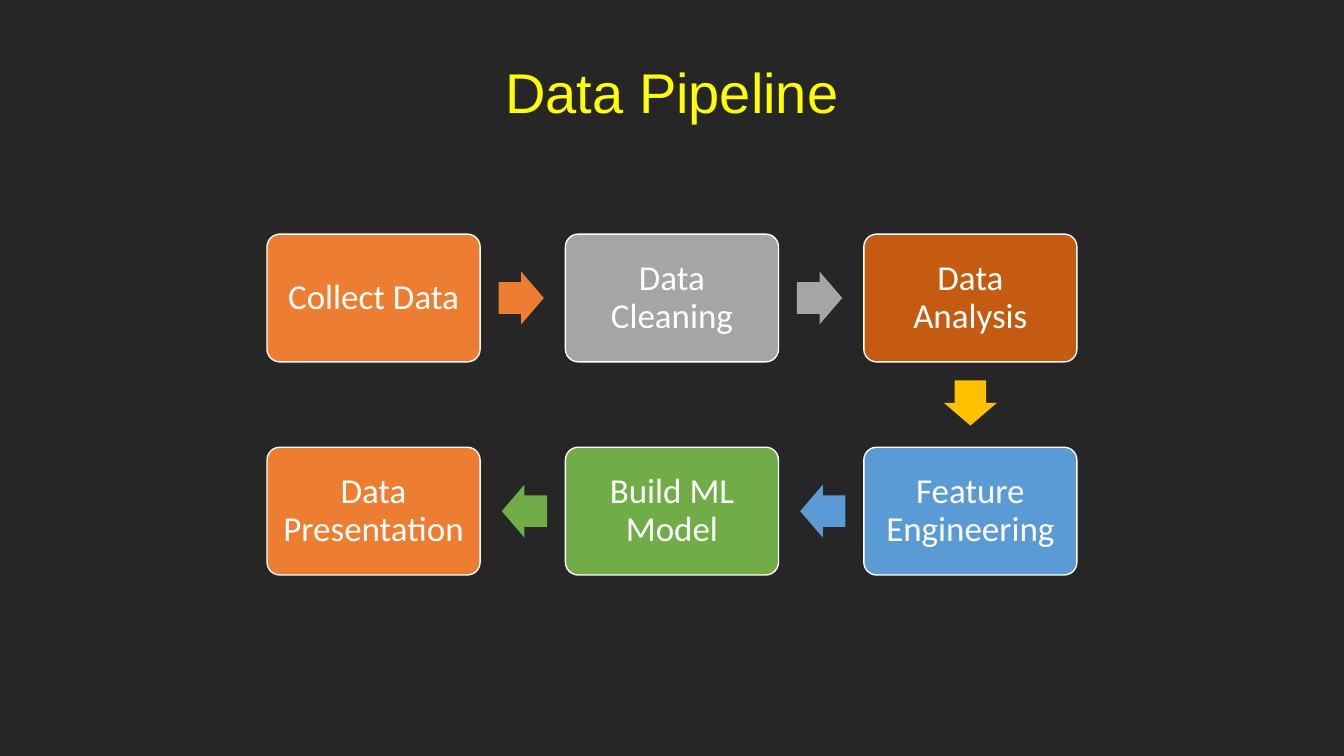
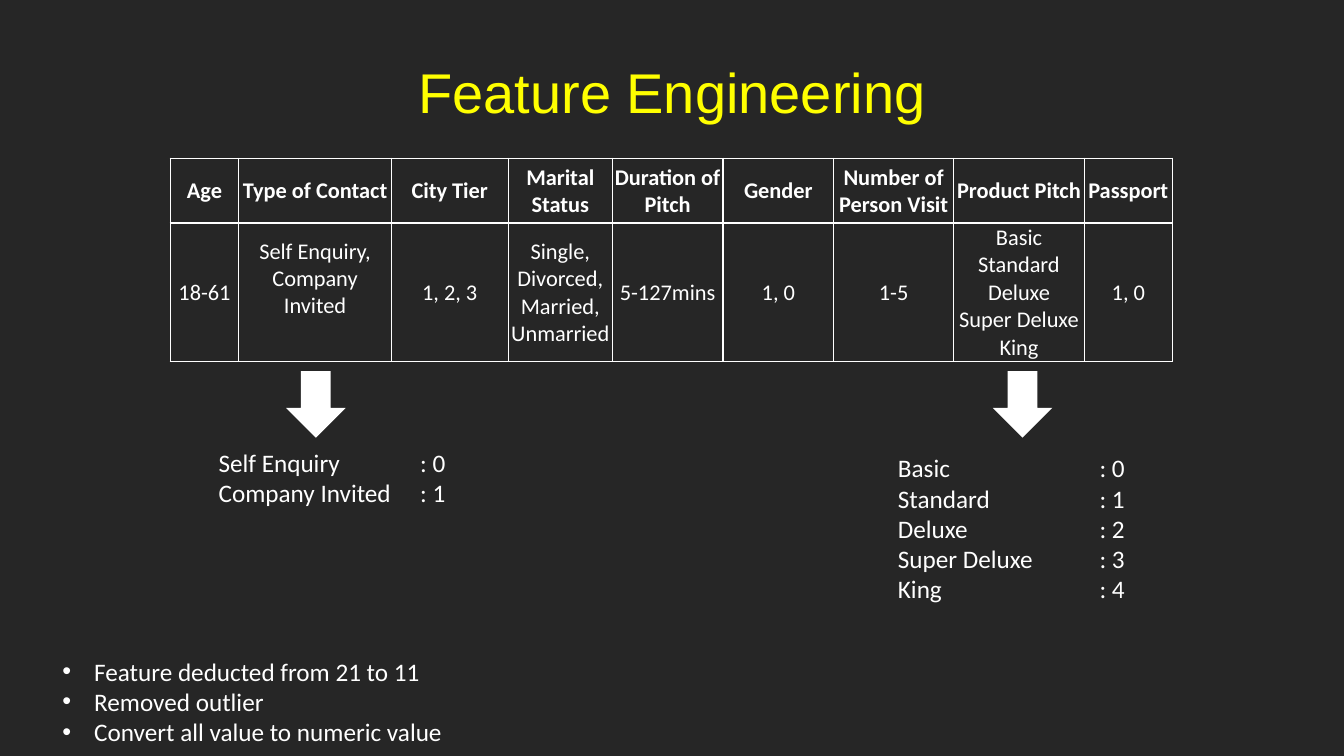
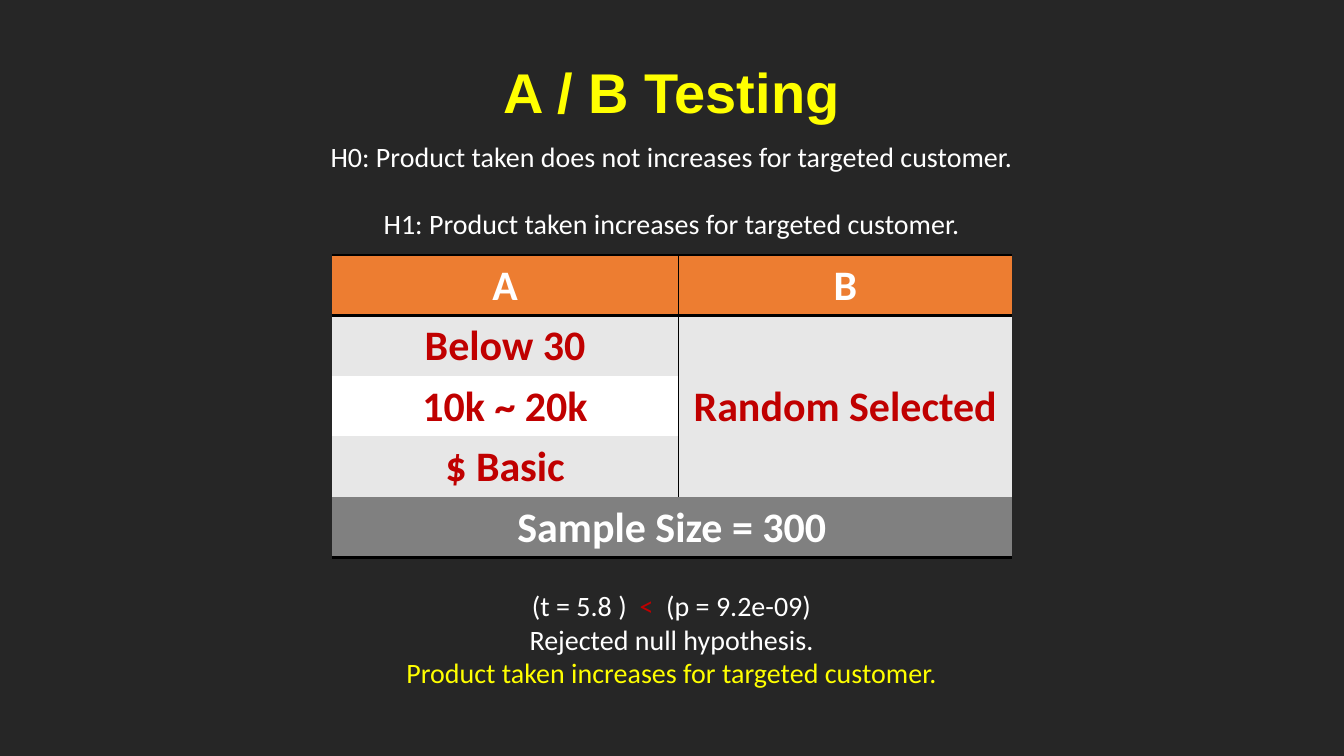
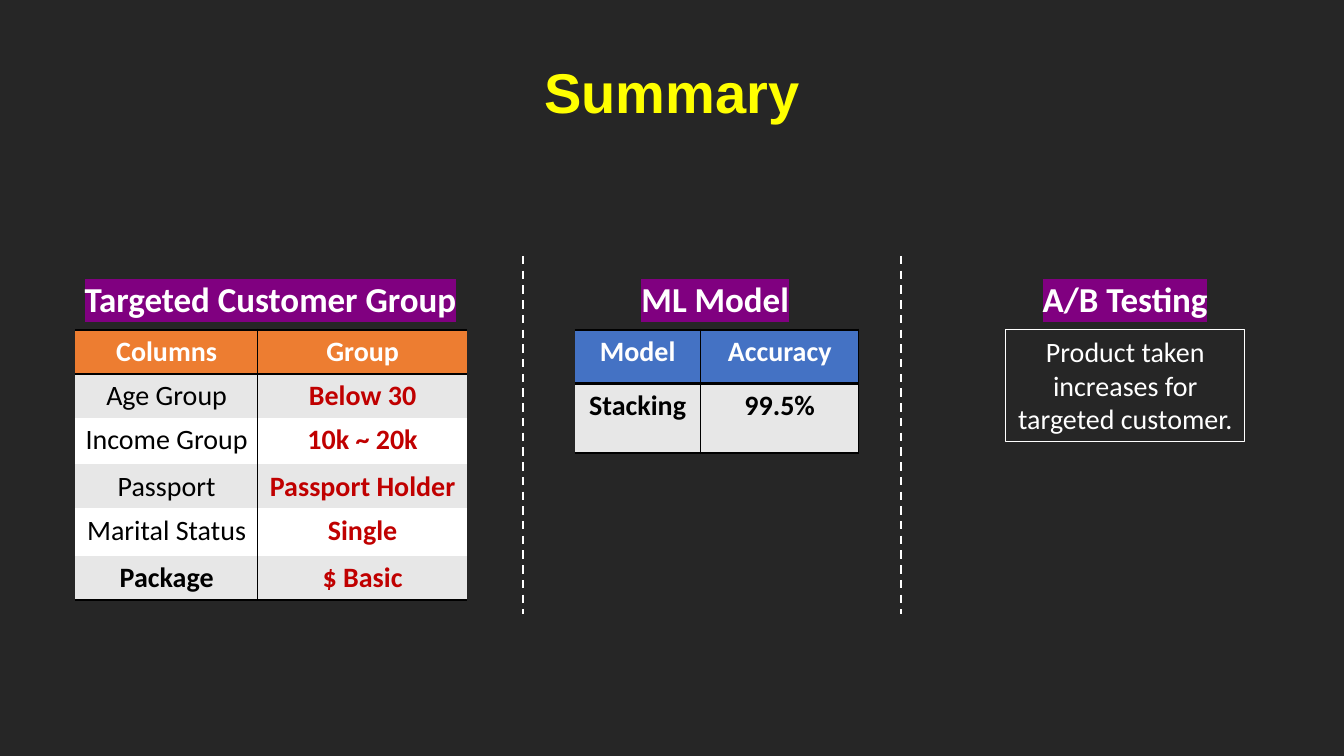
from dataclasses import dataclass
from math import atan2, degrees

from lxml.etree import SubElement
from pptx import Presentation
from pptx.dml.color import RGBColor
from pptx.enum.dml import MSO_LINE
from pptx.enum.shapes import MSO_CONNECTOR, MSO_SHAPE
from pptx.enum.text import MSO_ANCHOR, MSO_AUTO_SIZE, PP_ALIGN
from pptx.oxml.ns import qn
from pptx.util import Cm, Pt

BACKDROP = "262626"
WHITE = "FFFFFF"
BLACK = "000000"
YELLOW = "FFFF00"
RED = "C00000"
ORANGE = "ED7D31"
BLUE = "4472C4"
BAND = "E7E7E7"
GREY = "808080"
PURPLE = "800080"
NO_GRID_STYLE = "{2D5ABB26-0587-4C30-8999-92F81FD0307C}"

TITLE_ONLY, TITLE_AND_BODY = 5, 1
TITLE_FRAME = {"left": Cm(8.08), "top": Cm(1.52), "width": Cm(17.7), "height": Cm(1.85)}
BODY_FRAME = {"left": Cm(1.32), "top": Cm(16.4), "width": Cm(31.22), "height": Cm(2.54)}
FIXED_TOP = {"word_wrap": True, "auto_size": MSO_AUTO_SIZE.NONE, "vertical_anchor": MSO_ANCHOR.TOP}
CENTERED = {"alignment": PP_ALIGN.CENTER, "space_before": Pt(0)}
HEADLINE = CENTERED | {"line_spacing": 0.9}
LEFT = {"alignment": PP_ALIGN.LEFT, "space_before": Pt(0)}


@dataclass
class Span:
    text: str
    color: str = WHITE
    bold: bool = False
    highlight: str = ""


@dataclass
class Entry:
    text: str
    color: str = WHITE
    bold: bool = True
    fill: str = ""
    bottom: float = 0.1


@dataclass
class Grid:
    left: float
    top: float
    widths: list[float]
    heights: list[float]
    entries: list[list[Entry]]
    size: float
    ink: str = BLACK
    thick: float = 2
    edges: str = ""
    inset: float = 0.25
    anchor: MSO_ANCHOR = MSO_ANCHOR.TOP
    merges: tuple = ()


@dataclass
class Step:
    label: str
    fill: str
    arrow: str
    column: int
    row: int
    inset: float = 0.33


@dataclass
class Encoding:
    left: float
    top: float
    arrow_left: float
    codes: list[str]


def rgb(color: str) -> RGBColor:
    return RGBColor.from_string(color)


def apply(target, values: dict) -> None:
    for name, value in values.items():
        setattr(target, name, value)


def write_span(paragraph, span: Span, size: float, face: str = "Calibri") -> None:
    run = paragraph.add_run()
    run.text = span.text
    apply(run.font, {"name": face, "size": Pt(size), "bold": span.bold})
    run.font.color.rgb = rgb(span.color)
    if span.highlight:
        properties = run.font._element
        highlight = SubElement(properties, qn("a:highlight"))
        SubElement(highlight, qn("a:srgbClr"), val=span.highlight)
        properties.find(qn("a:solidFill")).addnext(highlight)


def write_lines(frame, lines: list[list[Span]], size: float, style: dict, face: str = "Calibri") -> list:
    for _ in lines[1:]:
        frame.add_paragraph()
    for paragraph, spans in zip(frame.paragraphs, lines):
        apply(paragraph, style)
        for span in spans:
            write_span(paragraph, span, size, face)
    return list(frame.paragraphs)


def add_text(slide, left: float, top: float, width: float, height: float,
             lines: list[list[Span]], size: float, style: dict = CENTERED):
    box = slide.shapes.add_textbox(Cm(left), Cm(top), Cm(width), Cm(height))
    apply(box.text_frame, FIXED_TOP)
    write_lines(box.text_frame, lines, size, style)
    return box


def add_figure(slide, preset, left: float, top: float, width: float, height: float,
               fill: str = "", outline: float = 0):
    figure = slide.shapes.add_shape(preset, Cm(left), Cm(top), Cm(width), Cm(height))
    figure.shadow.inherit = False
    if fill:
        figure.fill.solid()
        figure.fill.fore_color.rgb = rgb(fill)
    else:
        figure.fill.background()
    if outline:
        figure.line.color.rgb = rgb(WHITE)
        figure.line.width = Pt(outline)
    else:
        figure.line.fill.background()
    return figure


def add_slide(deck, title: str, bold: bool = False, layout: int = TITLE_ONLY):
    slide = deck.slides.add_slide(deck.slide_layouts[layout])
    heading = slide.shapes.title
    apply(heading, TITLE_FRAME)
    apply(heading.text_frame, FIXED_TOP)
    write_lines(heading.text_frame, [[Span(title, YELLOW, bold)]], 40, HEADLINE, "Arial")
    return slide


def rule_cell(cell, sides: dict[str, float], ink: str) -> None:
    properties = cell._tc.get_or_add_tcPr()
    for side in "LRTB":
        if side in sides:
            rule = SubElement(properties, qn(f"a:ln{side}"), w=str(Pt(sides[side])))
            SubElement(SubElement(rule, qn("a:solidFill")), qn("a:srgbClr"), val=ink)


def add_grid(slide, grid: Grid) -> None:
    last_row, last_column = len(grid.heights) - 1, len(grid.widths) - 1
    table = slide.shapes.add_table(
        last_row + 1, last_column + 1, Cm(grid.left), Cm(grid.top),
        Cm(sum(grid.widths)), Cm(sum(grid.heights))).table
    apply(table, {"first_row": False, "horz_banding": False})
    table._tbl.tblPr.find(qn("a:tableStyleId")).text = NO_GRID_STYLE
    for column, width in zip(table.columns, grid.widths):
        column.width = Cm(width)
    for row, height in zip(table.rows, grid.heights):
        row.height = Cm(height)
    for start, end in grid.merges:
        table.cell(*start).merge(table.cell(*end))
    for r, entries in enumerate(grid.entries):
        divided = table.cell(r, 0).span_width == 1
        for c, entry in enumerate(entries):
            cell = table.cell(r, c)
            sides = {}
            if "L" in grid.edges if c == 0 else divided:
                sides["L"] = 1
            if "R" in grid.edges if c == last_column else divided:
                sides["R"] = 1
            if r == 0:
                sides["T"] = grid.thick
            if r in (0, last_row):
                sides["B"] = grid.thick
            rule_cell(cell, sides, grid.ink)
            apply(cell, {"margin_left": Cm(grid.inset), "margin_right": Cm(grid.inset),
                         "margin_top": Cm(min(grid.inset, 0.13)), "margin_bottom": Cm(entry.bottom),
                         "vertical_anchor": MSO_ANCHOR.MIDDLE if cell.span_height > 1 else grid.anchor})
            if entry.fill:
                cell.fill.solid()
                cell.fill.fore_color.rgb = rgb(entry.fill)
            else:
                cell.fill.background()
            if entry.text:
                lines = [[Span(line, entry.color, entry.bold)] for line in entry.text.split("\n")]
                write_lines(cell.text_frame, lines, grid.size, CENTERED)


def build_pipeline(deck) -> None:
    slide = add_slide(deck, "Data Pipeline")
    steps = [
        Step("Collect Data", ORANGE, ORANGE, 0, 0),
        Step("Data Cleaning", "A5A5A5", "A5A5A5", 1, 0),
        Step("Data Analysis", "C55A11", "FFC000", 2, 0),
        Step("Feature Engineering", "5B9BD5", "5B9BD5", 2, 1),
        Step("Build ML Model", "70AD47", "70AD47", 1, 1),
        Step("Data Presentation", ORANGE, "", 0, 1, inset=0.15),
    ]
    left, top, width, height = 6.73, 5.9, 5.37, 3.22
    column_pitch, row_pitch = 7.52, 5.37
    arrow_width, arrow_height, setback = 1.14, 1.33, 0.04

    for step in steps:
        node = add_figure(slide, MSO_SHAPE.ROUNDED_RECTANGLE, left + step.column * column_pitch,
                          top + step.row * row_pitch, width, height, step.fill, 1)
        node.adjustments[0] = 0.1
        apply(node.text_frame, {"word_wrap": True, "vertical_anchor": MSO_ANCHOR.MIDDLE,
                                "margin_left": Cm(step.inset), "margin_right": Cm(step.inset)})
        write_lines(node.text_frame, [[Span(step.label)]], 25, HEADLINE)

    for step, following in zip(steps, steps[1:]):
        across, down = following.column - step.column, following.row - step.row
        center_x = left + width / 2 + (step.column + across / 2) * column_pitch - across * setback
        center_y = top + height / 2 + (step.row + down / 2) * row_pitch - down * setback
        arrow = add_figure(slide, MSO_SHAPE.RIGHT_ARROW, center_x - arrow_width / 2,
                           center_y - arrow_height / 2, arrow_width, arrow_height, step.arrow)
        arrow.adjustments[0] = 0.6
        arrow.adjustments[1] = 0.5
        arrow.rotation = degrees(atan2(down, across))


def build_features(deck) -> None:
    slide = add_slide(deck, "Feature Engineering", layout=TITLE_AND_BODY)
    features = {
        "Age": "18-61",
        "Type of Contact": "Self Enquiry, Company Invited",
        "City Tier": "1, 2, 3",
        "Marital Status": "Single, Divorced, Married, Unmarried",
        "Duration of Pitch": "5-127mins",
        "Gender": "1, 0",
        "Number of Person Visit": "1-5",
        "Product Pitch": "Basic\nStandard\nDeluxe\nSuper Deluxe\nKing",
        "Passport": "1, 0",
    }
    names = [Entry(name, bottom=0) for name in features]
    ranges = [Entry(values, bold=False, bottom=0) for values in features.values()]
    ranges[1].bottom = 0.7
    add_grid(slide, Grid(
        4.29, 3.99, [1.73, 3.84, 2.95, 2.62, 2.79, 2.79, 3.02, 3.3, 2.21], [1.63, 3.4],
        [names, ranges], 16, WHITE, 1, "LR", 0.03, MSO_ANCHOR.MIDDLE))

    encodings = [
        Encoding(3.89, 11.15, 7.21, ["Self Enquiry\t: 0", "Company Invited\t: 1"]),
        Encoding(21.01, 11.28, 25.02,
                 ["Basic\t: 0", "Standard\t: 1", "Deluxe\t: 2", "Super Deluxe\t: 3", "King\t: 4"]),
    ]
    for encoding in encodings:
        add_figure(slide, MSO_SHAPE.DOWN_ARROW, encoding.arrow_left, 9.35, 1.5, 1.68, WHITE)
        box = add_text(slide, encoding.left, encoding.top, 8.97, 0.26 + 0.77 * len(encoding.codes),
                       [[Span(code)] for code in encoding.codes], 18, LEFT)
        box.text_frame.margin_left = Cm(1.62)
        for paragraph in box.text_frame.paragraphs:
            stops = SubElement(paragraph._p.get_or_add_pPr(), qn("a:tabLst"))
            SubElement(stops, qn("a:tab"), pos=str(Cm(5.08)), algn="l")

    outcomes = slide.placeholders[1]
    apply(outcomes, BODY_FRAME)
    apply(outcomes.text_frame, FIXED_TOP)
    lines = ["Feature deducted from 21 to 11", "Removed outlier", "Convert all value to numeric value"]
    for paragraph in write_lines(outcomes.text_frame, [[Span(line)] for line in lines], 18, LEFT):
        properties = paragraph._p.get_or_add_pPr()
        properties.set("marL", str(Cm(0.8)))
        properties.set("indent", str(-Cm(0.8)))
        SubElement(properties, qn("a:buFont"), typeface="Arial")
        SubElement(properties, qn("a:buChar"), char="•")


def build_testing(deck) -> None:
    slide = add_slide(deck, "A / B Testing", bold=True)
    hypotheses = add_text(slide, 5.56, 3.38, 22.73, 2.82, [
        [Span("H0: Product taken does not increases for targeted customer.")],
        [Span("H1: Product taken increases for targeted customer.")],
    ], 20)
    hypotheses.text_frame.paragraphs[1].space_before = Pt(24)

    add_grid(slide, Grid(
        8.36, 6.43, [8.74, 8.41], [1.52] * 5,
        [
            [Entry("A", fill=ORANGE), Entry("B", fill=ORANGE)],
            [Entry("Below 30", RED, fill=BAND), Entry("Random Selected", RED, fill=BAND)],
            [Entry("10k ~ 20k", RED, fill=WHITE), Entry("", fill=BAND)],
            [Entry("$ Basic", RED, fill=BAND), Entry("", fill=BAND)],
            [Entry("Sample Size = 300", fill=GREY), Entry("", fill=GREY)],
        ],
        30, merges=(((1, 1), (3, 1)), ((4, 0), (4, 1)))))

    add_text(slide, 5.56, 14.71, 22.73, 2.82, [
        [Span("(t = 5.8 )  "), Span("<", RED), Span("  (p = 9.2e-09)")],
        [Span("Rejected null hypothesis.")],
        [Span("Product taken increases for targeted customer.", YELLOW)],
    ], 20)


def build_summary(deck) -> None:
    slide = add_slide(deck, "Summary", bold=True)
    sections = [
        ("Targeted Customer Group", 0.81, 12.01),
        ("ML Model", 14.66, 6.73),
        ("A/B Testing", 24.99, 6.73),
    ]
    for label, left, width in sections:
        add_text(slide, left, 6.99, width, 1.85, [[Span(label, WHITE, True, PURPLE)]], 25, HEADLINE)

    criteria = [
        ("Age Group", "Below 30"),
        ("Income Group", "10k ~ 20k"),
        ("Passport", "Passport Holder"),
        ("Marital Status", "Single"),
        ("Package", "$ Basic"),
    ]
    rows = [[Entry("Columns", fill=ORANGE), Entry("Group", fill=ORANGE)]]
    for index, (column, group) in enumerate(criteria):
        fill = WHITE if index % 2 else BAND
        rows.append([Entry(column, BLACK, column == "Package", fill), Entry(group, RED, fill=fill)])
    add_grid(slide, Grid(1.9, 8.31, [4.6, 5.28], [1.11, 1.11, 1.17, 1.11, 1.2, 1.11], rows, 20))

    add_grid(slide, Grid(
        14.48, 8.31, [3.18, 3.98], [1.35, 1.75],
        [
            [Entry("Model", fill=BLUE), Entry("Accuracy", fill=BLUE)],
            [Entry("Stacking", BLACK, fill=BAND), Entry("99.5%", BLACK, fill=BAND)],
        ],
        20, edges="R"))

    for x in (13.18, 22.71):
        divider = slide.shapes.add_connector(MSO_CONNECTOR.STRAIGHT, Cm(x), Cm(6.45), Cm(x), Cm(15.47))
        divider.line.color.rgb = rgb(WHITE)
        apply(divider.line, {"width": Pt(1.5), "dash_style": MSO_LINE.DASH})
        SubElement(divider._element.spPr, qn("a:effectLst"))

    conclusion = add_figure(slide, MSO_SHAPE.RECTANGLE, 25.35, 8.31, 6.02, 2.82, outline=0.75)
    apply(conclusion.text_frame, FIXED_TOP)
    write_lines(conclusion.text_frame,
                [[Span("Product taken increases for targeted customer.")]], 20, CENTERED)


def main() -> None:
    deck = Presentation()
    apply(deck, {"slide_width": Cm(33.87), "slide_height": Cm(19.05)})
    backdrop = deck.slide_master.background.fill
    backdrop.solid()
    backdrop.fore_color.rgb = rgb(BACKDROP)
    for build in (build_pipeline, build_features, build_testing, build_summary):
        build(deck)
    deck.save("out.pptx")


if __name__ == "__main__":
    main()
